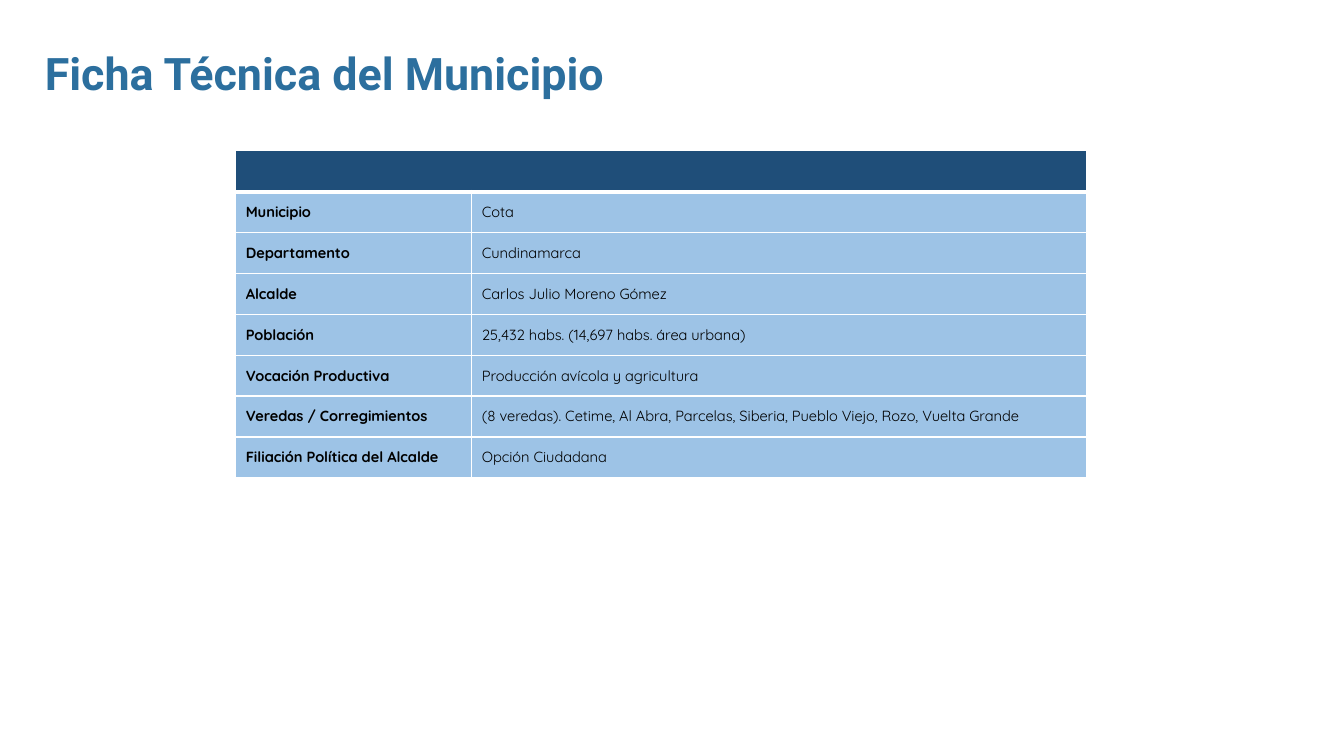
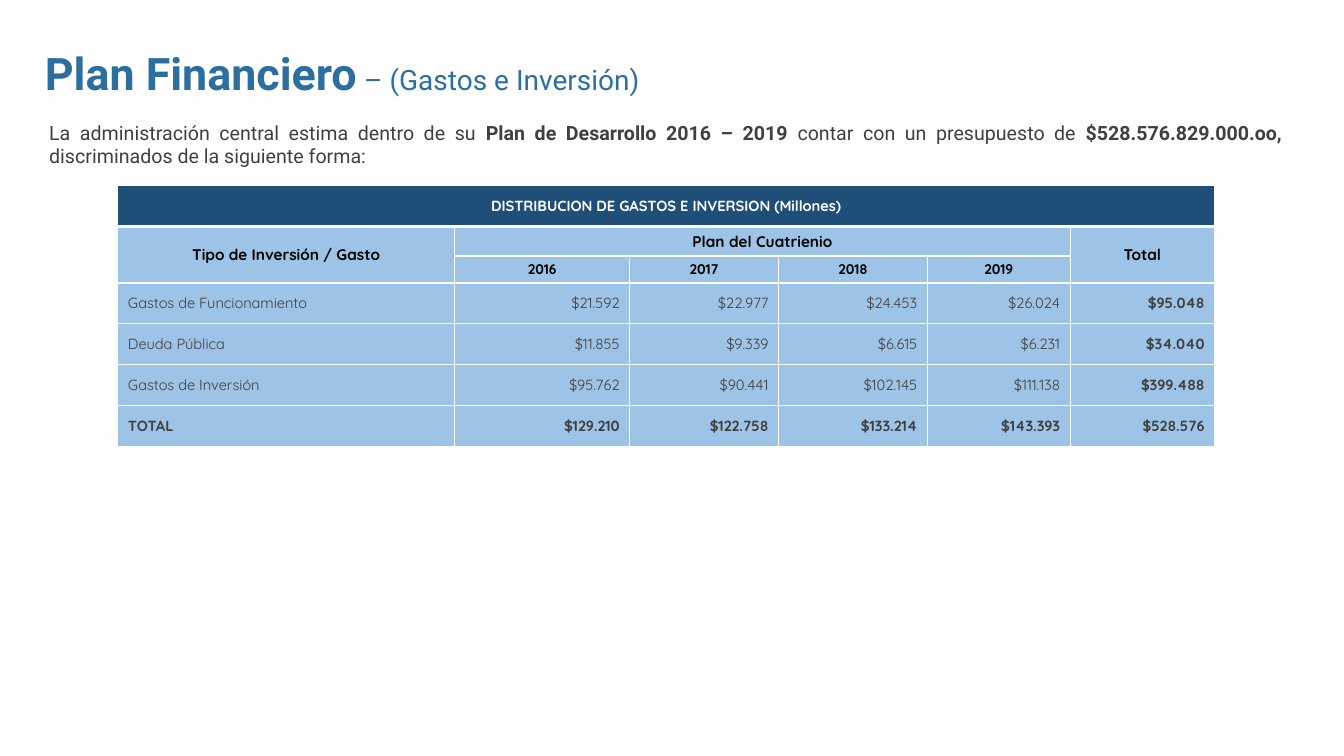
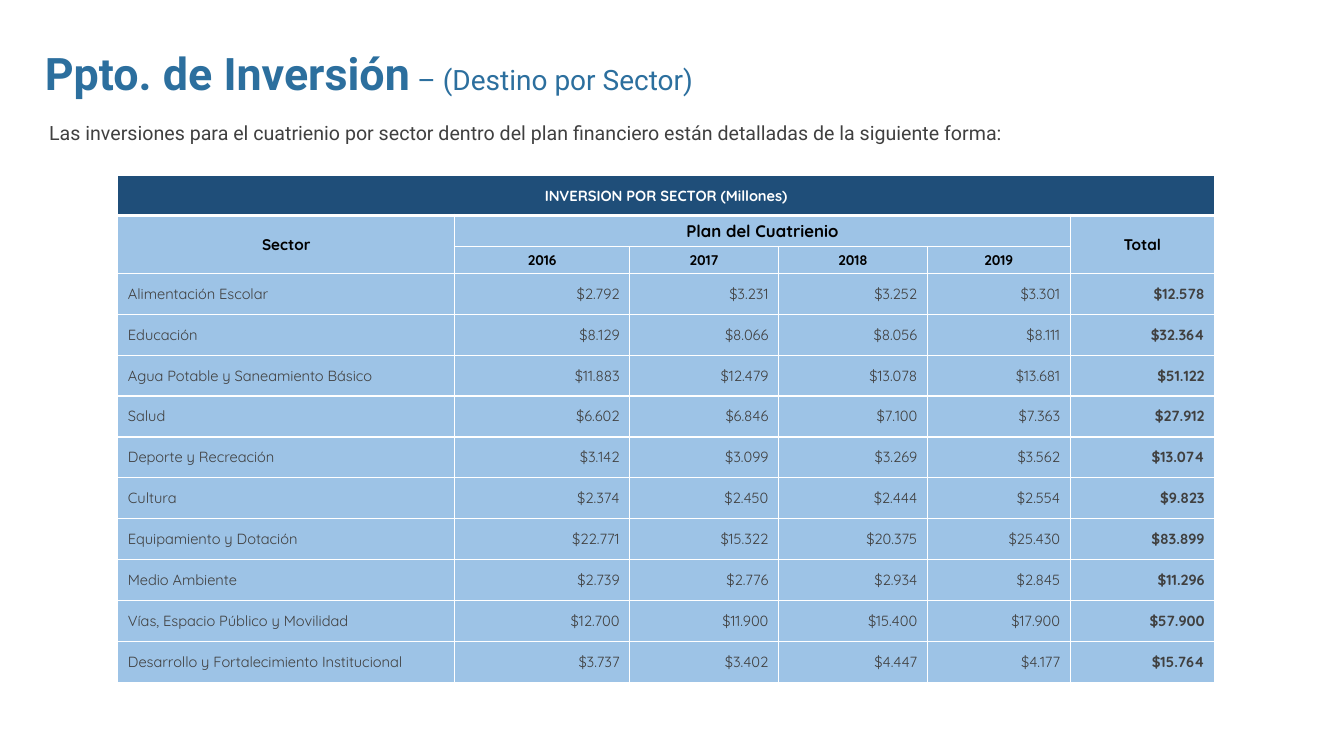
from dataclasses import dataclass

from lxml.etree import SubElement
from pptx import Presentation
from pptx.dml.color import RGBColor as Rgb
from pptx.enum.text import MSO_ANCHOR as Anchor, MSO_AUTO_SIZE as AutoSize, PP_ALIGN as Align
from pptx.oxml.ns import qn
from pptx.util import Cm, Pt


@dataclass(frozen=True)
class Theme:
    """Colours, fonts and type sizes of the presentation."""
    title: str = "2C6F9E"
    body: str = "404040"
    black: str = "000000"
    white: str = "FFFFFF"
    band: str = "1F4E79"
    cell: str = "9DC3E6"
    text_font: str = "Roboto"
    table_font: str = "Quicksand"
    title_size: float = 32
    subtitle_size: float = 20
    body_size: float = 14
    plan_size: float = 12
    heading_size: float = 11
    cell_size: float = 10.5
    year_size: float = 10


THEME = Theme()
ROW = 1.03
YEARS = ["2016", "2017", "2018", "2019"]
BUDGET_COLUMNS = [8.49, 4.41, 3.75, 3.75, 3.6, 3.64]


def write(paragraph, text, *, size=THEME.cell_size, color=THEME.black, bold=False,
          font=THEME.table_font, align=None):
    """Add a formatted run to a paragraph."""
    run = paragraph.add_run()
    run.text = text
    run.font.size = Pt(size)
    run.font.name = font
    run.font.bold = bold
    run.font.color.rgb = Rgb.from_string(color)
    if align is not None:
        paragraph.alignment = align


class Deck:
    """Holds the style and the current slide."""

    def __init__(self, theme):
        """Start an empty widescreen presentation."""
        self.theme = theme
        self.file = Presentation()
        self.file.slide_width, self.file.slide_height = Cm(33.87), Cm(19.05)
        self.slide = None

    def new_slide(self, title, subtitle=""):
        """Open a blank slide and write its title."""
        self.slide = self.file.slides.add_slide(self.file.slide_layouts[6])
        heading = self.text_area(0.88, 1.02, 22.76, 1.63)
        style = dict(color=self.theme.title, font=self.theme.text_font)
        write(heading, title, size=self.theme.title_size, bold=True, **style)
        if subtitle:
            write(heading, f" {subtitle}", size=self.theme.subtitle_size, **style)

    def text_area(self, left, top, width, height):
        """Add a wrapping text box and return its paragraph."""
        frame = self.slide.shapes.add_textbox(Cm(left), Cm(top), Cm(width), Cm(height)).text_frame
        frame.word_wrap = True
        frame.auto_size = AutoSize.SHAPE_TO_FIT_TEXT
        return frame.paragraphs[0]

    def introduction(self, *parts, height=0.86):
        """Write justified text whose every second part is bold."""
        paragraph = self.text_area(0.99, 2.92, 31.57, height)
        for index, part in enumerate(parts):
            write(paragraph, part, size=self.theme.body_size, color=self.theme.body,
                  bold=index % 2 == 1, font=self.theme.text_font, align=Align.JUSTIFY)

    def borders(self, cell, bottom):
        """Draw white borders around a cell."""
        properties = cell._tc.get_or_add_tcPr()
        for side, points in (("L", 1), ("R", 1), ("T", 1), ("B", bottom)):
            line = SubElement(properties, qn(f"a:ln{side}"), w=str(Pt(points)))
            fill = SubElement(line, qn("a:solidFill"))
            SubElement(fill, qn("a:srgbClr"), val=self.theme.white)

    def table(self, left, top, widths, heights):
        """Add a filled table whose first row is one dark band."""
        frame = self.slide.shapes.add_table(len(heights), len(widths), Cm(left), Cm(top),
                                            Cm(sum(widths)), Cm(sum(heights)))
        grid = frame.table
        grid.first_row = grid.horz_banding = False
        for column, width in zip(grid.columns, widths):
            column.width = Cm(width)
        for index, height in enumerate(heights):
            grid.rows[index].height = Cm(height)
            for cell in grid.rows[index].cells:
                self.borders(cell, 1 if index else 3)
                cell.fill.solid()
                cell.fill.fore_color.rgb = Rgb.from_string(
                    self.theme.cell if index else self.theme.band)
                cell.vertical_anchor = Anchor.MIDDLE
        grid.cell(0, 0).merge(grid.cell(0, len(widths) - 1))
        return grid

    def fact_sheet(self, facts):
        """Add a table of labels and values."""
        grid = self.table(5.94, 3.8, [5.95, 15.49], [ROW] * (len(facts) + 1))
        for row, (label, value) in enumerate(facts, 1):
            write(grid.cell(row, 0).text_frame.paragraphs[0], label, bold=True)
            write(grid.cell(row, 1).text_frame.paragraphs[0], value)

    def budget(self, band, first_heading, records, *, top, band_height=ROW,
               plan_height=0.74, plan_size=THEME.heading_size):
        """Add a table of yearly amounts with totals."""
        heights = [band_height, plan_height, 0.68] + [ROW] * len(records)
        grid = self.table(2.97, top, BUDGET_COLUMNS, heights)
        total = len(BUDGET_COLUMNS) - 1
        for column in (0, total):
            grid.cell(1, column).merge(grid.cell(2, column))
        grid.cell(1, 1).merge(grid.cell(1, total - 1))

        heading_size = self.theme.heading_size
        headings = [(0, 0, band, self.theme.cell_size, self.theme.white),
                    (1, 0, first_heading, heading_size, self.theme.black),
                    (1, 1, "Plan del Cuatrienio", plan_size, self.theme.black),
                    (1, total, "Total", heading_size, self.theme.black)]
        headings += [(2, column, year, self.theme.year_size, self.theme.black)
                     for column, year in enumerate(YEARS, 1)]
        for row, column, text, size, color in headings:
            write(grid.cell(row, column).text_frame.paragraphs[0], text, size=size,
                  color=color, bold=True, align=Align.CENTER)

        for row, (concept, *amounts) in enumerate(records, 3):
            is_sum = concept == "TOTAL"
            write(grid.cell(row, 0).text_frame.paragraphs[0], concept,
                  color=self.theme.body, bold=is_sum)
            for column, amount in enumerate(amounts, 1):
                write(grid.cell(row, column).text_frame.paragraphs[0], f"${amount}",
                      color=self.theme.body, bold=is_sum or column == total, align=Align.RIGHT)


def main():
    """Build and save the three slides."""
    deck = Deck(THEME)

    deck.new_slide("Ficha Técnica del Municipio")
    deck.fact_sheet([
        ("Municipio", "Cota"),
        ("Departamento", "Cundinamarca"),
        ("Alcalde", "Carlos Julio Moreno Gómez"),
        ("Población", "25,432 habs. (14,697 habs. área urbana)"),
        ("Vocación Productiva", "Producción avícola y agricultura"),
        ("Veredas / Corregimientos",
         "(8 veredas). Cetime, Al Abra, Parcelas, Siberia, Pueblo Viejo, Rozo, Vuelta Grande"),
        ("Filiación Política del Alcalde", "Opción Ciudadana"),
    ])

    deck.new_slide("Plan Financiero", "– (Gastos e Inversión)")
    deck.introduction("La administración central estima dentro de su ",
                      "Plan de Desarrollo 2016 – 2019 ",
                      "contar con un presupuesto de ",
                      "$528.576.829.000.oo, ",
                      "discriminados de la siguiente forma:", height=1.45)
    deck.budget("DISTRIBUCION DE GASTOS E INVERSION (Millones)", "Tipo de Inversión / Gasto", [
        ("Gastos de Funcionamiento", "21.592", "22.977", "24.453", "26.024", "95.048"),
        ("Deuda Pública", "11.855", "9.339", "6.615", "6.231", "34.040"),
        ("Gastos de Inversión", "95.762", "90.441", "102.145", "111.138", "399.488"),
        ("TOTAL", "129.210", "122.758", "133.214", "143.393", "528.576"),
    ], top=4.68)

    deck.new_slide("Ppto. de Inversión", "– (Destino por Sector)")
    deck.introduction("Las inversiones para el cuatrienio por sector dentro del plan financiero "
                      "están detalladas de la siguiente forma:")
    deck.budget("INVERSION POR SECTOR (Millones)", "Sector", [
        ("Alimentación Escolar", "2.792", "3.231", "3.252", "3.301", "12.578"),
        ("Educación", "8.129", "8.066", "8.056", "8.111", "32.364"),
        ("Agua Potable y Saneamiento Básico", "11.883", "12.479", "13.078", "13.681", "51.122"),
        ("Salud", "6.602", "6.846", "7.100", "7.363", "27.912"),
        ("Deporte y Recreación", "3.142", "3.099", "3.269", "3.562", "13.074"),
        ("Cultura", "2.374", "2.450", "2.444", "2.554", "9.823"),
        ("Equipamiento y Dotación", "22.771", "15.322", "20.375", "25.430", "83.899"),
        ("Medio Ambiente", "2.739", "2.776", "2.934", "2.845", "11.296"),
        ("Vías, Espacio Público y Movilidad", "12.700", "11.900", "15.400", "17.900", "57.900"),
        ("Desarrollo y Fortalecimiento Institucional",
         "3.737", "3.402", "4.447", "4.177", "15.764"),
    ], top=4.43, band_height=1, plan_height=0.78, plan_size=THEME.plan_size)

    deck.file.save("out.pptx")


if __name__ == "__main__":
    main()
